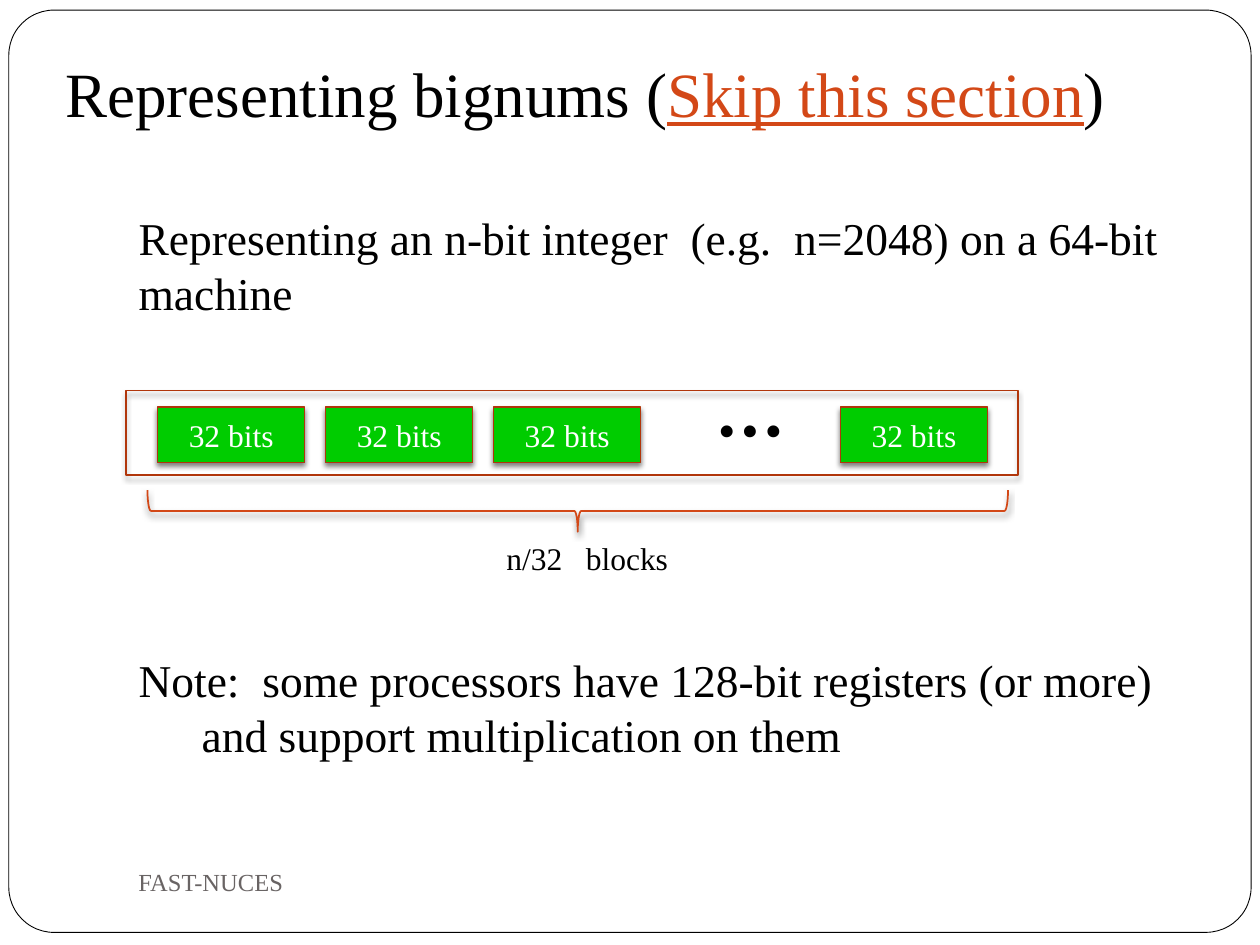
"""Builds the slide on representing bignums as 32-bit blocks."""
import pptx
import pptx.dml.color
import pptx.enum.shapes
import pptx.enum.text
import pptx.oxml
import pptx.oxml.ns
import pptx.util
from pptx.util import Inches

COLORS = {
    "paper": "FFFFFF",
    "ink": "000000",
    "accent": "D34817",
    "edge": "B1360B",
    "block": "00CC00",
    "footer": "696464",
}
SHAPE = pptx.enum.shapes.MSO_SHAPE
ANCHOR = pptx.enum.text.MSO_ANCHOR
ALIGN = pptx.enum.text.PP_ALIGN
SHADOW = (
    f'<a:outerShdw {pptx.oxml.ns.nsdecls("a")} blurRad="38100" dist="25400" '
    'dir="5400000" rotWithShape="0"><a:srgbClr val="000000">'
    '<a:alpha val="50000"/></a:srgbClr></a:outerShdw>'
)


class SlideBuilder:
    """Holds the style and the current slide."""

    font = "Times New Roman"

    def __init__(self, prs):
        self.slide = prs.slides.add_slide(prs.slide_layouts[1])

    def color(self, name):
        return pptx.dml.color.RGBColor.from_string(COLORS[name])

    def run(self, p, text, size, color="ink", bold=False, underline=False):
        r = p.add_run()
        r.text = text
        r.font.name = self.font
        r.font.size = pptx.util.Pt(size)
        r.font.color.rgb = self.color(color)
        r.font.bold = bold
        r.font.underline = underline

    def place(self, sp, left, top, width, height):
        sp.left, sp.top = Inches(left), Inches(top)
        sp.width, sp.height = Inches(width), Inches(height)

    def title(self, parts, box):
        sp = self.slide.shapes.title
        self.place(sp, *box)
        tf = sp.text_frame
        tf.vertical_anchor = ANCHOR.BOTTOM
        tf.margin_bottom = Inches(0.1)
        tf.auto_size = pptx.enum.text.MSO_AUTO_SIZE.NONE
        p = tf.paragraphs[0]
        p.alignment = ALIGN.LEFT
        for text, style in parts:
            self.run(p, text, 36, **style)

    def body(self, paragraphs, box):
        sp = self.slide.placeholders[1]
        self.place(sp, *box)
        tf = sp.text_frame
        tf.auto_size = pptx.enum.text.MSO_AUTO_SIZE.NONE
        for i, (lines, before) in enumerate(paragraphs):
            p = tf.add_paragraph() if i else tf.paragraphs[0]
            p.space_before = pptx.util.Pt(before)
            pPr = p._p.get_or_add_pPr()
            pPr.set("marL", "0")
            pPr.set("indent", "0")
            pPr.append(pptx.oxml.parse_xml(f'<a:buNone {pptx.oxml.ns.nsdecls("a")}/>'))
            for n, line in enumerate(lines):
                if n:
                    p.add_line_break()
                self.run(p, line, 26)

    def shape(self, kind, box, fill=None, line="edge", width=0.75, shadow=True):
        sp = self.slide.shapes.add_shape(kind, *map(Inches, box))
        if fill:
            sp.fill.solid()
            sp.fill.fore_color.rgb = self.color(fill)
        else:
            sp.fill.background()
        sp.line.color.rgb = self.color(line)
        sp.line.width = pptx.util.Pt(width)
        sp.shadow.inherit = False
        if shadow:
            effects = sp._element.spPr.find(pptx.oxml.ns.qn("a:effectLst"))
            effects.append(pptx.oxml.parse_xml(SHADOW))
        return sp

    def panel(self, box):
        sp = self.shape(SHAPE.ROUNDED_RECTANGLE, box, "paper", "ink", 0.5, False)
        sp.adjustments[0] = 0.049
        self.slide.shapes._spTree.insert(2, sp._element)

    def block(self, text, box):
        tf = self.shape(SHAPE.RECTANGLE, box, "block").text_frame
        tf.vertical_anchor = ANCHOR.MIDDLE
        p = tf.paragraphs[0]
        p.alignment = ALIGN.CENTER
        self.run(p, text, 18, "paper")

    def brace(self, box):
        self.shape(SHAPE.RIGHT_BRACE, box, line="accent", width=1).rotation = 90

    def label(self, text, box, size, color="ink", bold=False, wrap=False,
              anchor=ANCHOR.TOP):
        tf = self.slide.shapes.add_textbox(*map(Inches, box)).text_frame
        tf.word_wrap = wrap
        tf.vertical_anchor = anchor
        self.run(tf.paragraphs[0], text, size, color, bold)


def main():
    prs = pptx.Presentation()
    prs.slide_width, prs.slide_height = Inches(10), Inches(7.5)
    s = SlideBuilder(prs)
    s.panel((0.07, 0.08, 9.86, 7.32))
    s.title([
        ("Representing bignums (", {}),
        ("Skip this section", {"color": "accent", "underline": True}),
        (")", {}),
    ], (0.42, 0.33, 8.5, 0.8))
    s.body([
        (["Representing an n-bit integer  (e.g.  n=2048) on a 64-bit machine"], 0),
        (["Note:  some processors have 128-bit registers (or more)",
          "\tand support multiplication on them"], 190),
    ], (1, 1.62, 8.5, 5))
    for left in [1.25 + 4 / 3 * i for i in range(3)] + [6.67]:
        s.block("32 bits", (left, 3.23, 1.17, 0.44))
    s.label("⋯", (5.58, 2.97, 0.67, 0.77), 40, bold=True)
    s.brace((4.42, 0.64, 0.33, 6.83))
    s.label("n/32   blocks", (3.92, 4.23, 1.62, 0.4), 18)
    s.shape(SHAPE.RECTANGLE, (1, 3.1, 7.08, 0.67))
    s.label("FAST-NUCES", (1, 6.75, 4.33, 0.5), 14, "footer", wrap=True,
            anchor=ANCHOR.MIDDLE)
    prs.save("out.pptx")


if __name__ == "__main__":
    main()
